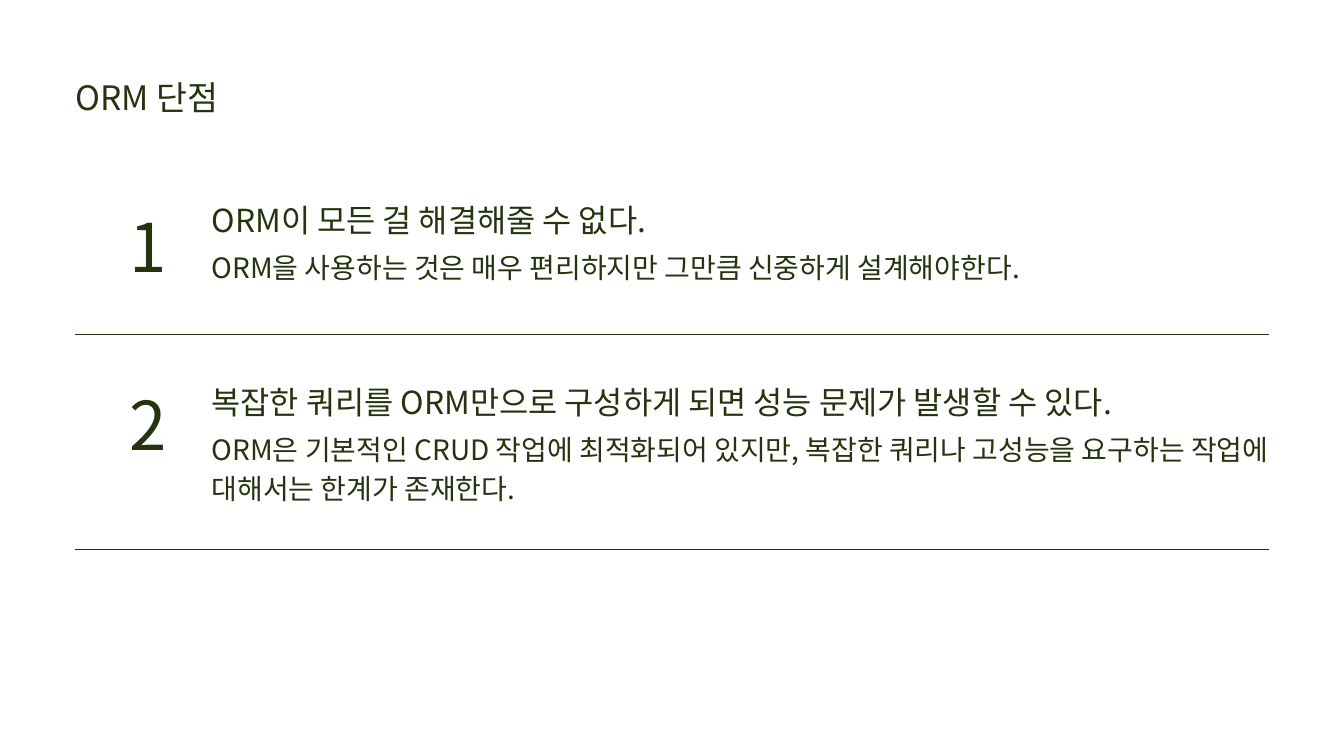
from lxml.etree import SubElement
from pptx import Presentation
from pptx.dml.color import RGBColor
from pptx.enum.shapes import MSO_CONNECTOR
from pptx.enum.text import MSO_ANCHOR, MSO_AUTO_SIZE, PP_ALIGN
from pptx.oxml.ns import qn
from pptx.util import Pt

FONT = "Noto Sans CJK KR"
INK = "25330F"
LEFT, WIDTH = 80.64, 1278.72
NUMBER_INDENT, NUMBER_WIDTH = 9.36, 136.8
LINE_SPACING = 1.4

# top, bottom rule, text drop, number, heading, body, body height
DRAWBACKS = [
    (205.2, 357.84, 3.6, "1", "ORM이 모든 걸 해결해줄 수 없다.",
     "ORM을 사용하는 것은 매우 편리하지만 그만큼 신중하게 설계해야한다.", 41.04),
    (396, 588.24, 7.2, "2",
     "복잡한 쿼리를 ORM만으로 구성하게 되면 성능 문제가 발생할 수 있다.",
     "ORM은 기본적인 CRUD 작업에 최적화되어 있지만, 복잡한 쿼리나 고성능을 "
     "요구하는 작업에 대해서는 한계가 존재한다.", 83.52),
]


def color(hex_code):
    return RGBColor.from_string(hex_code)


def write(holder, text, size, align):
    frame = holder.text_frame
    frame.text = text
    frame.word_wrap = True
    frame.auto_size = MSO_AUTO_SIZE.SHAPE_TO_FIT_TEXT
    frame.vertical_anchor = MSO_ANCHOR.TOP
    frame.margin_left = frame.margin_right = 0
    frame.margin_top = frame.margin_bottom = 0
    paragraph = frame.paragraphs[0]
    paragraph.alignment = align
    paragraph.line_spacing = Pt(size * LINE_SPACING)
    paragraph.space_before = Pt(0)
    for run in paragraph.runs:
        run.font.size = Pt(size)
        run.font.name = FONT
        run.font.color.rgb = color(INK)
        # Korean glyphs take the East Asian typeface
        SubElement(run.font._element, qn("a:ea"), typeface=FONT)


def add_text(slide, left, top, width, height, text, size, align):
    box = slide.shapes.add_textbox(Pt(left), Pt(top), Pt(width), Pt(height))
    write(box, text, size, align)


def add_title(slide, left, top, width, height, text):
    title = slide.shapes.title
    title.left, title.top = Pt(left), Pt(top)
    title.width, title.height = Pt(width), Pt(height)
    write(title, text, 36, PP_ALIGN.LEFT)


def add_drawback(slide, left, top, width, bottom, drop, number, heading, body,
                 body_height):
    # Number column
    number_left = left + NUMBER_INDENT
    add_text(slide, number_left, top, NUMBER_WIDTH, 101.52, number, 72,
             PP_ALIGN.CENTER)

    # Heading and explanation
    text_left = number_left + NUMBER_WIDTH
    text_width = left + width - text_left
    text_top = top + drop
    add_text(slide, text_left, text_top, text_width, 45.36, heading, 34,
             PP_ALIGN.JUSTIFY)
    add_text(slide, text_left, text_top + 54, text_width, body_height, body, 30,
             PP_ALIGN.JUSTIFY)

    # Divider
    divider = slide.shapes.add_connector(
        MSO_CONNECTOR.STRAIGHT, Pt(left), Pt(bottom), Pt(left + width), Pt(bottom))
    divider.line.color.rgb = color(INK)
    divider.line.width = Pt(0.75)
    SubElement(divider._element.spPr, qn("a:effectLst"))


def main():
    deck = Presentation()
    deck.slide_width, deck.slide_height = Pt(1440), Pt(810)
    slide = deck.slides.add_slide(deck.slide_layouts[5])
    slide.background.fill.solid()
    slide.background.fill.fore_color.rgb = color("FFFFFF")

    add_title(slide, LEFT, 75.6, 846.72, 50.4, "ORM 단점")
    for top, bottom, *content in DRAWBACKS:
        add_drawback(slide, LEFT, top, WIDTH, bottom, *content)

    deck.save("out.pptx")


if __name__ == "__main__":
    main()
